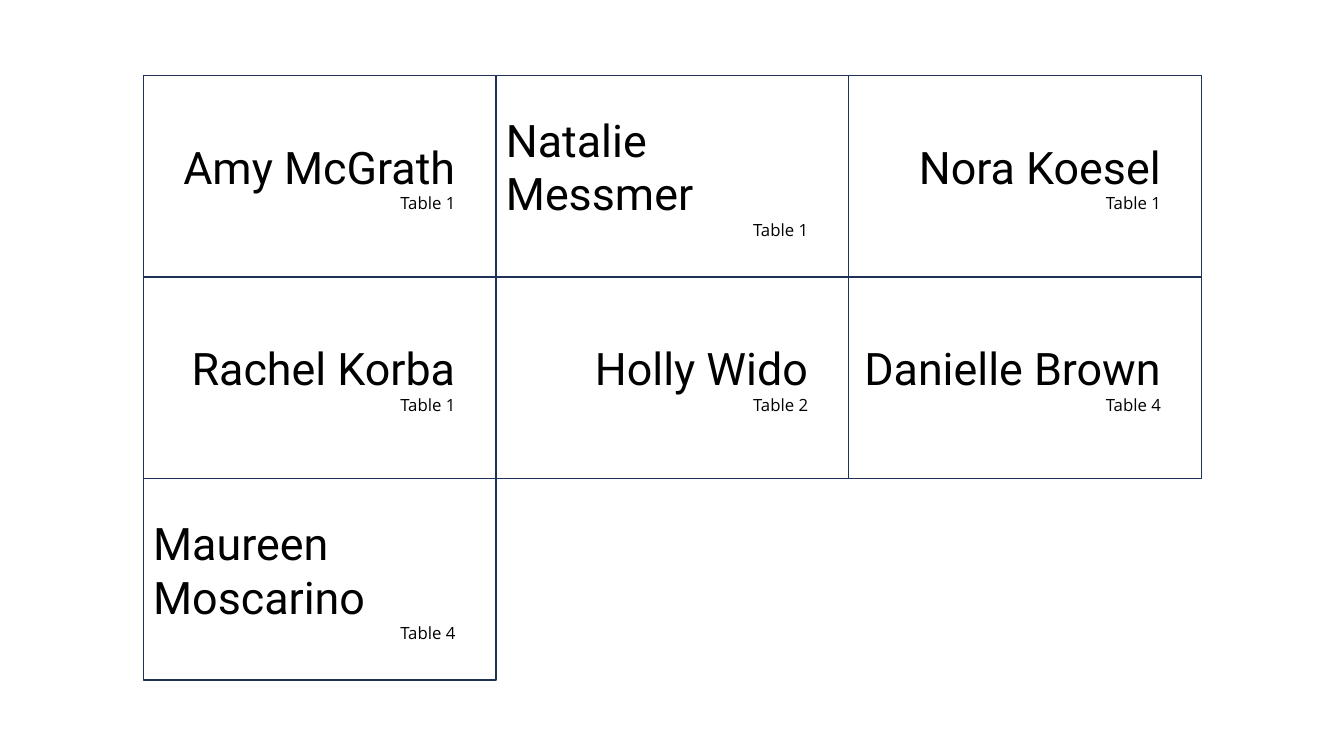
from lxml.etree import SubElement
from pptx import Presentation
from pptx.dml.color import RGBColor
from pptx.enum.shapes import MSO_SHAPE as Shape
from pptx.enum.text import MSO_ANCHOR as Anchor, PP_ALIGN as Align
from pptx.oxml.ns import qn
from pptx.util import Cm, Pt

LEFT, TOP = 3.61, 1.9
CARD_W, CARD_H = 8.89, 5.08
COLUMNS = 3
TAB_STOP = Cm(7.62)
NAME_FONT = {"name": "Roboto", "size": Pt(32)}
TABLE_FONT = {"name": "Open Sans", "size": Pt(12)}
GUESTS = [
    ("Amy McGrath", 1),
    ("Natalie Messmer", 1),
    ("Nora Koesel", 1),
    ("Rachel Korba", 1),
    ("Holly Wido", 2),
    ("Danielle Brown", 4),
    ("Maureen Moscarino", 4),
]


def color(hex_value):
    return RGBColor.from_string(hex_value)


def add_right_tab(p):
    tabs = SubElement(p._p.get_or_add_pPr(), qn("a:tabLst"))
    SubElement(tabs, qn("a:tab"), pos=str(TAB_STOP), algn="r")


def write_line(p, text, font):
    p.alignment = Align.LEFT
    add_right_tab(p)
    r = p.add_run()
    r.text = "\t" + text
    for key, value in font.items():
        setattr(r.font, key, value)
    r.font.color.rgb = color("000000")


def add_card(s, row, column, guest, table):
    sp = s.shapes.add_shape(
        Shape.RECTANGLE,
        Cm(LEFT + column * CARD_W),
        Cm(TOP + row * CARD_H),
        Cm(CARD_W),
        Cm(CARD_H),
    )
    sp.shadow.inherit = False
    sp.fill.solid()
    sp.fill.fore_color.rgb = color("FFFFFF")
    sp.line.color.rgb = color("1E3256")
    sp.line.width = Pt(1)
    tf = sp.text_frame
    tf.word_wrap = True
    tf.vertical_anchor = Anchor.MIDDLE
    write_line(tf.paragraphs[0], guest, NAME_FONT)
    write_line(tf.add_paragraph(), f"Table {table}", TABLE_FONT)


def main():
    prs = Presentation()
    prs.slide_width, prs.slide_height = Cm(33.87), Cm(19.05)
    s = prs.slides.add_slide(prs.slide_layouts[6])
    for i, (guest, table) in enumerate(GUESTS):
        row, column = divmod(i, COLUMNS)
        add_card(s, row, column, guest, table)
    prs.save("out.pptx")


if __name__ == "__main__":
    main()
